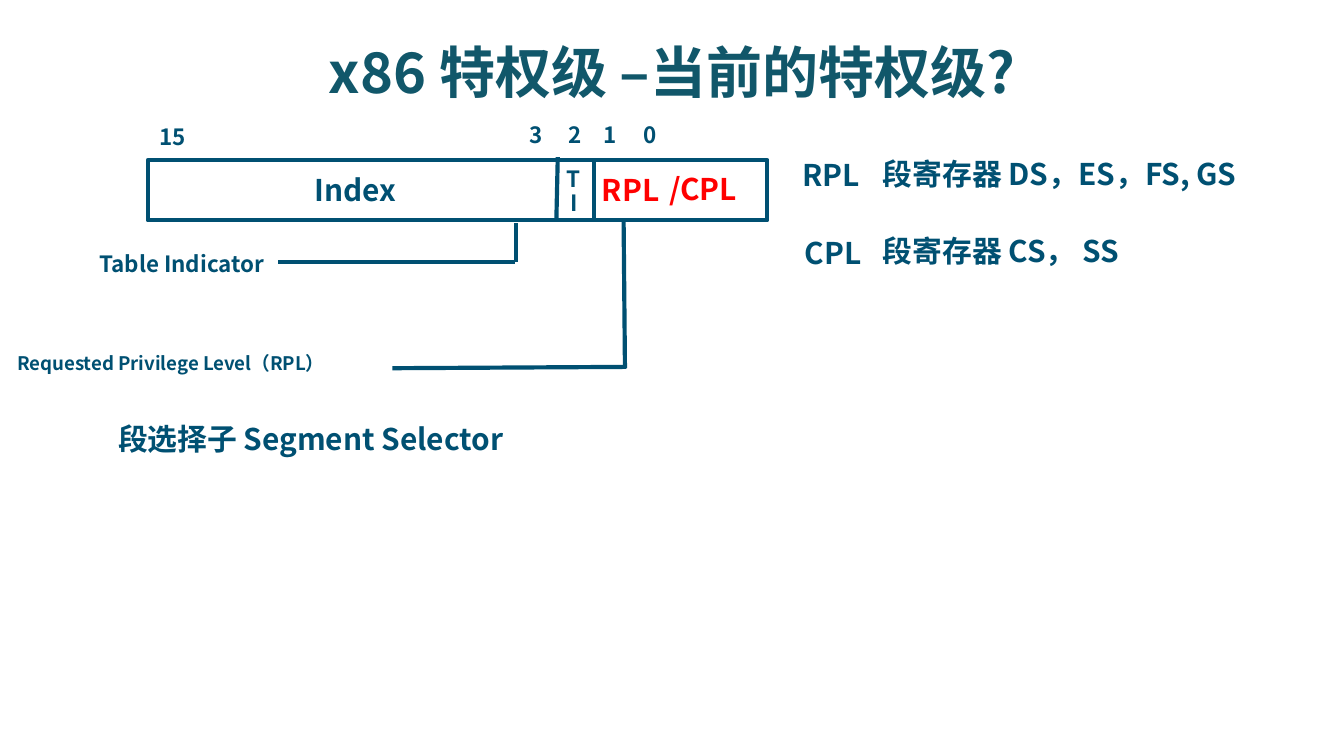
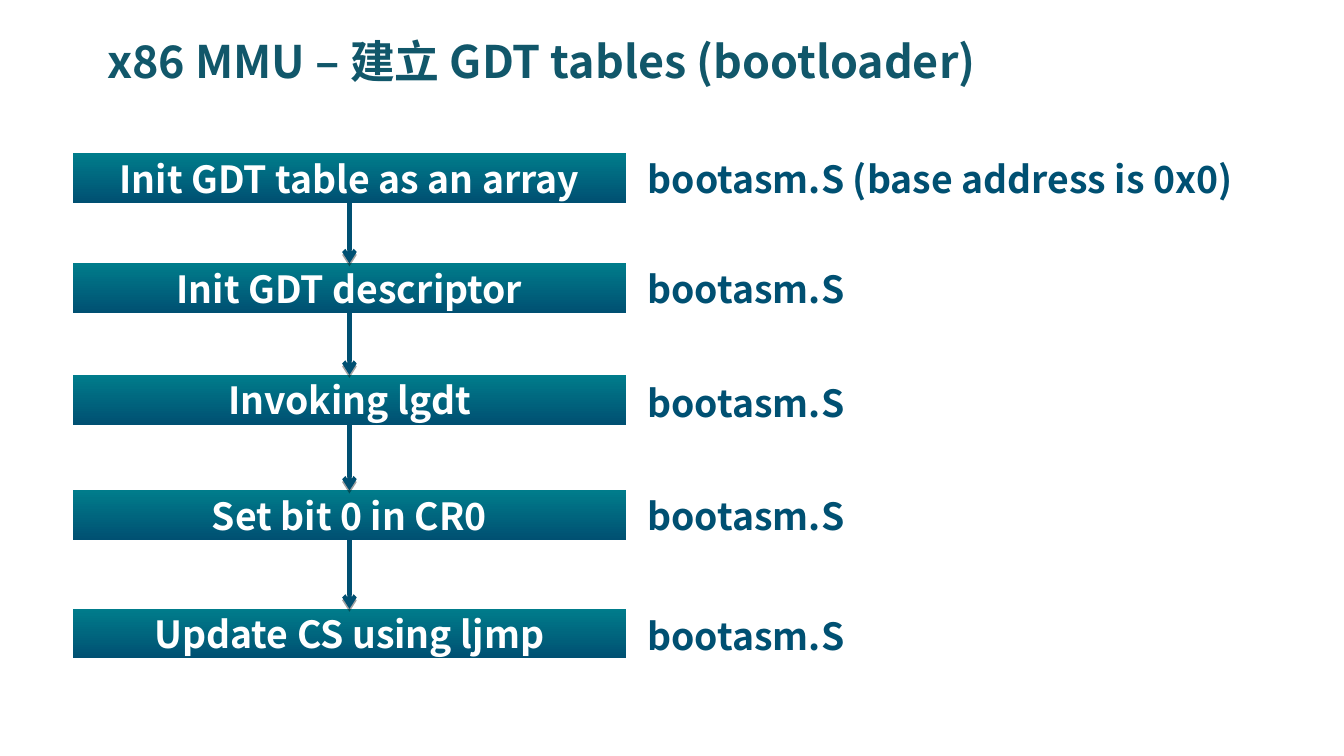
from dataclasses import dataclass

from lxml import etree
from pptx import Presentation
from pptx.dml.color import RGBColor
from pptx.enum.shapes import MSO_CONNECTOR, MSO_SHAPE
from pptx.enum.text import MSO_ANCHOR, MSO_AUTO_SIZE, PP_ALIGN
from pptx.oxml.ns import qn
from pptx.util import Inches, Pt

STRAIGHT = MSO_CONNECTOR.STRAIGHT
RECTANGLE, PROCESS = MSO_SHAPE.RECTANGLE, MSO_SHAPE.FLOWCHART_PROCESS
LEFT, CENTER = PP_ALIGN.LEFT, PP_ALIGN.CENTER
MIDDLE = MSO_ANCHOR.MIDDLE
GROW = MSO_AUTO_SIZE.SHAPE_TO_FIT_TEXT

PAGE_WIDTH = 10
PAGE_HEIGHT = PAGE_WIDTH * 9 / 16


@dataclass(frozen=True)
class Theme:
    font: str = "Noto Sans CJK SC"
    title: str = "11576A"
    ink: str = "005072"
    teal: str = "007C8B"
    red: str = "FF0000"
    white: str = "FFFFFF"
    large_title: int = 30
    small_title: int = 24
    step: int = 20
    body: int = 16
    label: int = 12
    note: int = 10
    line: float = 2.25


THEME = Theme()

# Slide 1: text, (left, top, width, height)
PRIVILEGE_TITLE = "x86 特权级 –当前的特权级?"
REGISTER_NOTES = [
    ("段寄存器 CS， SS", (6.47, 1.68, 2.25, 0.37)),
    ("段寄存器 DS，ES，FS, GS", (6.47, 1.11, 3.16, 0.38)),
    ("RPL", (5.87, 1.12, 0.71, 0.37)),
    ("CPL", (5.89, 1.7, 0.71, 0.37)),
]
SELECTOR_FRAME = (1.1, 1.19, 4.61, 0.45)
SELECTOR_TEXTS = [
    ("Index", (2.24, 1.23, 1.39, 0.54)),
    ("段选择子 Segment Selector", (0.78, 3.08, 3.65, 0.37)),
]
LEVEL_TEXTS = [
    ("RPL", (4.38, 1.23, 0.71, 0.37)),
    ("/CPL", (4.88, 1.22, 0.76, 0.37)),
]
SMALL_TEXTS = [
    ("T", (4.12, 1.18, 0.32, 0.3)),
    ("I", (4.15, 1.36, 0.32, 0.3)),
    ("Table Indicator", (0.64, 1.81, 1.7, 0.3)),
    ("15", (1.09, 0.87, 0.49, 0.5)),
]
BIT_NUMBERS = [("3", 3.84), ("2", 4.13), ("1", 4.39), ("0", 4.69)]
BIT_TOP, BIT_WIDTH, BIT_HEIGHT = 0.85, 0.29, 0.3
RPL_CAPTION = ("Requested Privilege Level（RPL）", (0.03, 2.57, 5.47, 0.28))
SELECTOR_LINES = [
    ((4.42, 1.19), (4.42, 1.64)),
    ((3.83, 1.95), (2.07, 1.95)),
    ((4.15, 1.17), (4.14, 1.63)),
    ((4.64, 1.63), (4.65, 2.74)),
    ((4.66, 2.73), (2.92, 2.74)),
    ((3.84, 1.66), (3.84, 1.95)),
]

# Slide 2: step, source file, step top, source top, width of the source text
GDT_TITLE = "x86 MMU – 建立 GDT tables (bootloader)"
BOOT_STEPS = [
    ("Init GDT table as an array", "bootasm.S (base address is 0x0)", 1.14, 1.11, 4.72),
    ("Init GDT descriptor", "bootasm.S", 1.96, 1.93, 1.7),
    ("Invoking lgdt", "bootasm.S", 2.79, 2.78, 1.7),
    ("Set bit 0 in CR0", "bootasm.S", 3.65, 3.62, 1.7),
    ("Update CS using ljmp", "bootasm.S", 4.53, 4.51, 1.7),
]
STEP_LEFT, STEP_WIDTH, STEP_HEIGHT = 0.54, 4.12, 0.37
SOURCE_LEFT, SOURCE_HEIGHT = 4.72, 0.44


def color(value):
    return RGBColor.from_string(value)


def write(shape, text, size, ink, align=LEFT):
    para = shape.text_frame.paragraphs[0]
    para.text = text
    para.alignment = align
    for span in para.runs:
        span.font.name = THEME.font
        span.font.size = Pt(size)
        span.font.bold = True
        span.font.color.rgb = color(ink)
        east_asian = etree.SubElement(span.font._element, qn("a:ea"))
        east_asian.set("typeface", THEME.font)
    return para


def add_text(page, text, place, size, ink=THEME.ink, align=LEFT, wrap=True):
    box = page.shapes.add_textbox(*map(Inches, place))
    box.text_frame.word_wrap = wrap
    box.text_frame.auto_size = GROW
    return write(box, text, size, ink, align)


def add_line(page, start, end, arrow=False):
    """Draw a straight line; an arrow also casts a slight shadow downwards."""
    line = page.shapes.add_connector(STRAIGHT, *map(Inches, (*start, *end)))
    line.line.color.rgb = color(THEME.ink)
    line.line.width = Pt(THEME.line)
    properties = line._element.spPr
    effects = etree.SubElement(properties, qn("a:effectLst"))
    if arrow:
        outline = properties.find(qn("a:ln"))
        etree.SubElement(outline, qn("a:tailEnd"), type="arrow")
        shadow = etree.SubElement(effects, qn("a:outerShdw"), blurRad="0",
                                  dist=str(Pt(1.6)), dir="5400000", rotWithShape="0")
        black = etree.SubElement(shadow, qn("a:srgbClr"), val="000000")
        etree.SubElement(black, qn("a:alpha"), val="36000")


def add_step(page, text, top):
    box = page.shapes.add_shape(
        PROCESS, *map(Inches, (STEP_LEFT, top, STEP_WIDTH, STEP_HEIGHT)))
    box.shadow.inherit = False
    box.line.fill.background()
    box.fill.gradient()
    box.fill.gradient_angle = 270
    for stop, shade in zip(box.fill.gradient_stops, (THEME.teal, THEME.ink)):
        stop.color.rgb = color(shade)
    box.text_frame.word_wrap = True
    box.text_frame.vertical_anchor = MIDDLE
    write(box, text, THEME.step, THEME.white, CENTER)


def build_privilege_page(page):
    add_text(page, PRIVILEGE_TITLE, (0, 0.23, PAGE_WIDTH, 0.61),
             THEME.large_title, THEME.title, CENTER)
    frame = page.shapes.add_shape(RECTANGLE, *map(Inches, SELECTOR_FRAME))
    frame.shadow.inherit = False
    frame.fill.background()
    frame.line.color.rgb = color(THEME.ink)
    frame.line.width = Pt(THEME.line)
    for start, end in SELECTOR_LINES:
        add_line(page, start, end)

    bits = [(bit, (left, BIT_TOP, BIT_WIDTH, BIT_HEIGHT)) for bit, left in BIT_NUMBERS]
    text_groups = [
        (REGISTER_NOTES + SELECTOR_TEXTS, THEME.body, THEME.ink),
        (SMALL_TEXTS + bits, THEME.label, THEME.ink),
        ([RPL_CAPTION], THEME.note, THEME.ink),
        (LEVEL_TEXTS, THEME.body, THEME.red),
    ]
    for texts, size, ink in text_groups:
        for text, place in texts:
            add_text(page, text, place, size, ink)


def build_gdt_page(page):
    title = add_text(page, GDT_TITLE, (0.7, 0.23, 9.29, 0.52),
                     THEME.small_title, THEME.title)
    title.line_spacing = 0.95
    for step, source, step_top, source_top, width in BOOT_STEPS:
        add_step(page, step, step_top)
        add_text(page, source, (SOURCE_LEFT, source_top, width, SOURCE_HEIGHT),
                 THEME.step, wrap=False)
    middle = STEP_LEFT + STEP_WIDTH / 2
    tops = [step_top for _, _, step_top, _, _ in BOOT_STEPS]
    for top, next_top in zip(tops, tops[1:]):
        add_line(page, (middle, top + STEP_HEIGHT), (middle, next_top), arrow=True)


def main():
    deck = Presentation()
    deck.slide_width, deck.slide_height = Inches(PAGE_WIDTH), Inches(PAGE_HEIGHT)
    blank = deck.slide_layouts[6]
    for build in (build_privilege_page, build_gdt_page):
        build(deck.slides.add_slide(blank))
    deck.save("out.pptx")


if __name__ == "__main__":
    main()
